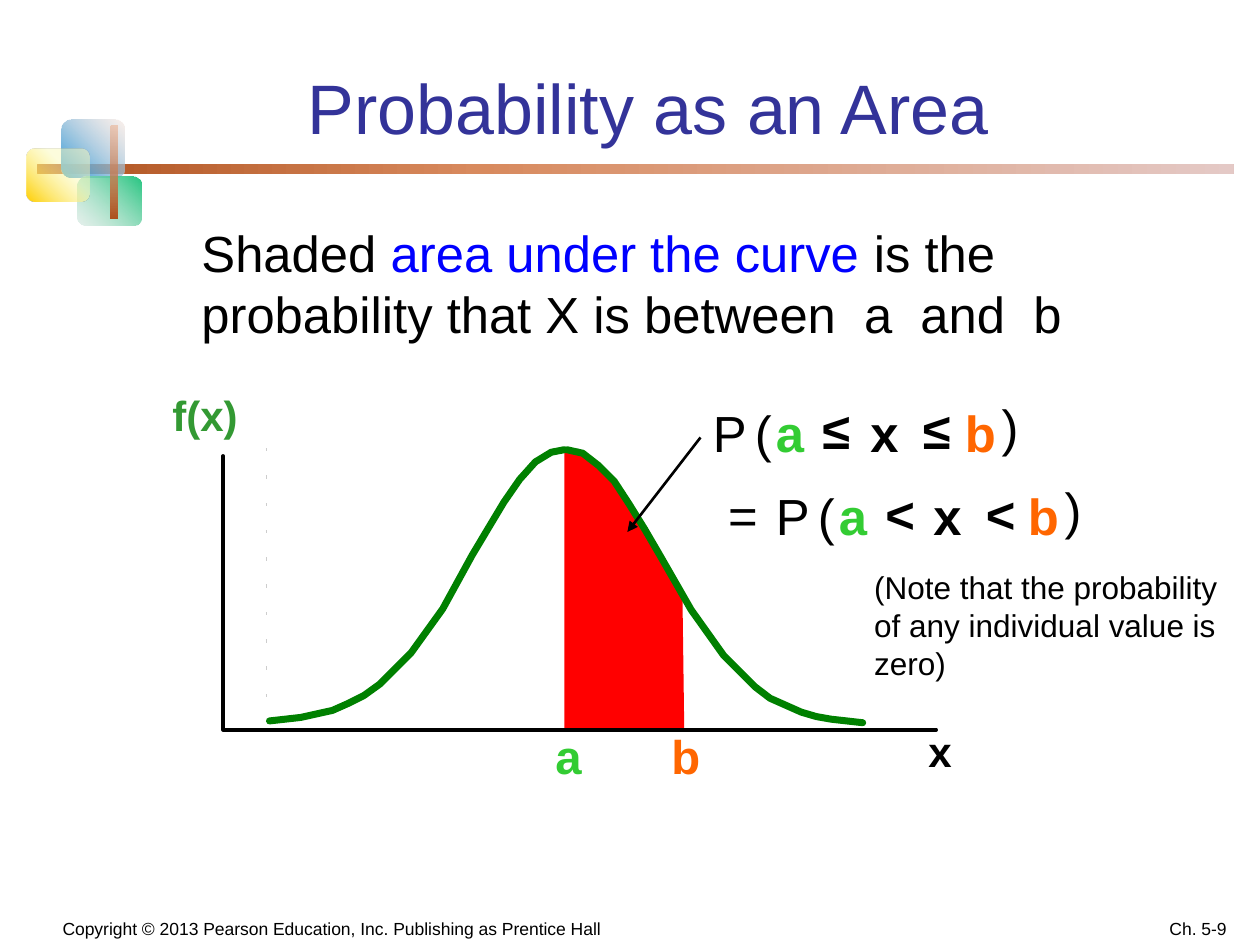
from dataclasses import dataclass, field
from typing import Any

from lxml import etree
from pptx import Presentation
from pptx import util as u
from pptx.dml.color import RGBColor
from pptx.enum import shapes, text
from pptx.oxml.ns import qn

Point = tuple[float, float]
Box = tuple[float, float, float, float]


@dataclass(frozen=True)
class Theme:
    font: str = "Arial"
    black: str = "000000"
    title: str = "333399"
    emphasis: str = "0000FF"
    lower: str = "33CC33"
    upper: str = "FF6600"
    density: str = "339933"
    curve: str = "008000"
    area: str = "FF0000"
    tick: str = "CDCDCD"
    title_size: float = 40
    body_size: float = 29
    bound_size: float = 27
    axis_size: float = 24
    note_size: float = 18
    footer_size: float = 10


THEME = Theme()


@dataclass(frozen=True)
class Run:
    text: str
    color: str = THEME.black
    bold: bool = False


@dataclass(frozen=True)
class Label:
    """Text with its frame; a frame that does not wrap grows around its text."""
    box: Box
    runs: list[Run]
    size: float
    wrap: bool = False
    align: Any = text.PP_ALIGN.LEFT
    frame: dict[str, Any] = field(default_factory=dict)


@dataclass(frozen=True)
class Ornament:
    """Rounded block; each stop is position %, colour, opacity %."""
    box: Box
    angle: int
    stops: list[tuple[int, str, int]]


ORNAMENTS = [
    Ornament((21, 93.6, 684, 6), 0,
             [(0, "AE511E", 100), (37, "D88A5E", 100), (100, "E4C9C6", 100)]),
    Ornament((35.3, 68.4, 36, 33.1), 315, [(0, "2895D8", 100), (100, "F7E2D9", 50)]),
    Ornament((44.6, 100.8, 36, 28.1), 135, [(0, "25C580", 100), (100, "CCE2D9", 50)]),
    Ornament((15.1, 85, 36, 30.2), 315, [(0, "FFCF01", 100), (63, "FCFCBC", 50)]),
    Ornament((63.4, 72, 3.6, 52.6), 270, [(0, "AE511E", 100), (100, "EAA782", 50)]),
]

AREA = [(333, 260.5), (341, 265), (353, 279.5), (362, 293), (373.5, 313), (383, 330.5),
        (390, 342), (391, 418), (322.5, 418), (322.5, 257)]
CREST = [(324, 257), (330.5, 257), (334, 258.5), (336, 260.5), (339, 263),
         (340.5, 265.5), (349, 273.5)]
RIGHT_TAIL = [(324, 257), (333, 259), (342, 266), (351, 275), (359.5, 288), (368.5, 302.5),
              (377.5, 318), (395, 348.5), (413.5, 374.5), (431.5, 392.5), (440, 399),
              (449, 403), (458, 407), (466.5, 409.5), (475, 411), (493, 413)]
LEFT_TAIL = [(154, 412), (172, 410), (181, 408), (190, 406), (199, 402), (208, 397.5),
             (217, 391), (235, 373), (253, 348), (270, 317), (279, 302), (288, 287),
             (297, 274), (306, 264), (315, 258.5), (322.5, 257)]
AXES = [(127.5, 260.5), (127.5, 417), (535, 417)]


def points(values: Box) -> list[u.Pt]:
    return [u.Pt(value) for value in values]


def set_values(target: Any, values: dict[str, Any]) -> None:
    for name, value in values.items():
        setattr(target, name, value)


def write_text(shape: Any, label: Label) -> None:
    fit = text.MSO_AUTO_SIZE.NONE if label.wrap else text.MSO_AUTO_SIZE.SHAPE_TO_FIT_TEXT
    set_values(shape.text_frame, {"word_wrap": label.wrap, "auto_size": fit} | label.frame)
    paragraph = shape.text_frame.paragraphs[0]
    paragraph.alignment = label.align
    for item in label.runs:
        run = paragraph.add_run()
        run.text = item.text
        set_values(run.font, {"name": THEME.font, "size": u.Pt(label.size), "bold": item.bold})
        run.font.color.rgb = RGBColor.from_string(item.color)


def add_label(slide: Any, label: Label) -> None:
    write_text(slide.shapes.add_textbox(*points(label.box)), label)


def add_ornament(slide: Any, ornament: Ornament) -> None:
    shape = slide.shapes.add_shape(shapes.MSO_SHAPE.ROUNDED_RECTANGLE, *points(ornament.box))
    shape.shadow.inherit = False
    shape.line.fill.background()
    gradient = etree.Element(qn("a:gradFill"), rotWithShape="1")
    stop_list = etree.SubElement(gradient, qn("a:gsLst"))
    for position, color, opacity in ornament.stops:
        stop = etree.SubElement(stop_list, qn("a:gs"), pos=str(position * 1000))
        rgb = etree.SubElement(stop, qn("a:srgbClr"), val=color)
        if opacity < 100:
            etree.SubElement(rgb, qn("a:alpha"), val=str(opacity * 1000))
    etree.SubElement(gradient, qn("a:lin"), ang=str(ornament.angle * 60000), scaled="0")
    shape.element.spPr.find(qn("a:prstGeom")).addnext(gradient)


def add_outline(slide: Any, vertices: list[Point], line: str = "", width: float = 0,
                fill: str = "") -> None:
    """Closed and filled when a fill is given, otherwise an open round-capped line."""
    start, *rest = [(u.Pt(x), u.Pt(y)) for x, y in vertices]
    builder = slide.shapes.build_freeform(*start, scale=1.0)
    builder.add_line_segments(rest, close=bool(fill))
    shape = builder.convert_to_shape()
    shape.shadow.inherit = False
    if fill:
        shape.fill.solid()
        shape.fill.fore_color.rgb = RGBColor.from_string(fill)
        shape.line.fill.background()
    else:
        shape.fill.background()
        shape.line.color.rgb = RGBColor.from_string(line)
        shape.line.width = u.Pt(width)
        shape.line._get_or_add_ln().set("cap", "rnd")


def add_line(slide: Any, ends: Box, color: str, width: float, arrow: bool = False) -> None:
    connector = slide.shapes.add_connector(shapes.MSO_CONNECTOR.STRAIGHT, *points(ends))
    connector.line.color.rgb = RGBColor.from_string(color)
    connector.line.width = u.Pt(width)
    if arrow:
        etree.SubElement(connector.line._get_or_add_ln(), qn("a:tailEnd"), type="triangle")
    etree.SubElement(connector.element.spPr, qn("a:effectLst"))


def add_formula(slide: Any, left: float, top: float, operator: str) -> None:
    """Writes P(a ? x ? b) with the operator on both sides of x."""
    relation = Run(operator, bold=True)
    parts = [(0, 0, 34, Run("P")), (24, 0, 24, Run("(")),
             (36, 0, 30, Run("a", THEME.lower, True)), (62.5, -1.5, 30, relation),
             (90, 0, 30, Run("x", bold=True)), (120, -1.5, 30, relation),
             (144, 0, 31.5, Run("b", THEME.upper, True)), (165, -3.6, 24, Run(")"))]
    for x, y, width, run in parts:
        add_label(slide, Label((left + x, top + y, width, 41.8), [run], THEME.body_size))


def add_plot(slide: Any) -> None:
    add_outline(slide, AREA, fill=THEME.area)
    add_outline(slide, CREST, THEME.black, 1)
    for tail in (RIGHT_TAIL, LEFT_TAIL):
        add_outline(slide, tail, THEME.curve, 4)
    add_outline(slide, AXES, THEME.black, 2)
    for index in range(10):
        y, x = 257 + 15.6 * index, 188.6 + 34.56 * index
        add_line(slide, (152, y, 152.5, y), THEME.tick, 2)
        add_line(slide, (x, 414.7, x, 414.7), THEME.tick, 2)
    add_line(slide, (400.3, 250, 358.5, 304), THEME.black, 1.5, arrow=True)


def main() -> None:
    presentation = Presentation()
    presentation.slide_width, presentation.slide_height = u.Pt(720), u.Pt(540)
    slide = presentation.slides.add_slide(presentation.slide_layouts[5])
    for ornament in ORNAMENTS:
        add_ornament(slide, ornament)

    title = slide.shapes.title
    set_values(title, dict(zip(("left", "top", "width", "height"), points((90.7, 33.8, 581, 59)))))
    write_text(title, Label((0, 0, 0, 0), [Run("Probability as an Area", THEME.title)],
                            THEME.title_size, True, text.PP_ALIGN.CENTER,
                            {"margin_right": u.Pt(29),
                             "vertical_anchor": text.MSO_ANCHOR.MIDDLE}))
    title.text_frame.paragraphs[0].line_spacing = 0.95
    add_plot(slide)
    add_formula(slide, 400.3, 226, "≤")
    add_formula(slide, 436.3, 273.6, "<")

    bottom = {"vertical_anchor": text.MSO_ANCHOR.BOTTOM}
    for label in [
        Label((310.3, 411.8, 29.5, 39.6), [Run("a", THEME.lower, True)], THEME.bound_size),
        Label((376.6, 411.8, 31, 39.6), [Run("b", THEME.upper, True)], THEME.bound_size),
        Label((523.4, 411.1, 27.4, 36), [Run("x", bold=True)], THEME.axis_size),
        Label((91.4, 218.9, 51.8, 36), [Run("f(x)", THEME.density, True)], THEME.axis_size),
        Label((409, 273, 31, 41.8), [Run("=")], THEME.body_size),
        Label((108, 123.1, 534.2, 77),
              [Run("Shaded "), Run("area under the curve ", THEME.emphasis),
               Run("is the probability that X is between  a  and  b")], THEME.body_size, True),
        Label((492.5, 321.1, 216, 72),
              [Run("(Note that the probability of any individual value is zero)")],
              THEME.note_size, True),
        Label((0, 514.8, 360, 25.2),
              [Run("Copyright © 2013 Pearson Education, Inc. Publishing as Prentice Hall")],
              THEME.footer_size, True, text.PP_ALIGN.CENTER,
              bottom | {"margin_left": u.Pt(26)}),
        Label((540, 514.8, 168, 25.2), [Run("Ch. 5-9")], THEME.footer_size, True,
              text.PP_ALIGN.RIGHT, bottom),
    ]:
        add_label(slide, label)
    presentation.save("out.pptx")


if __name__ == "__main__":
    main()
